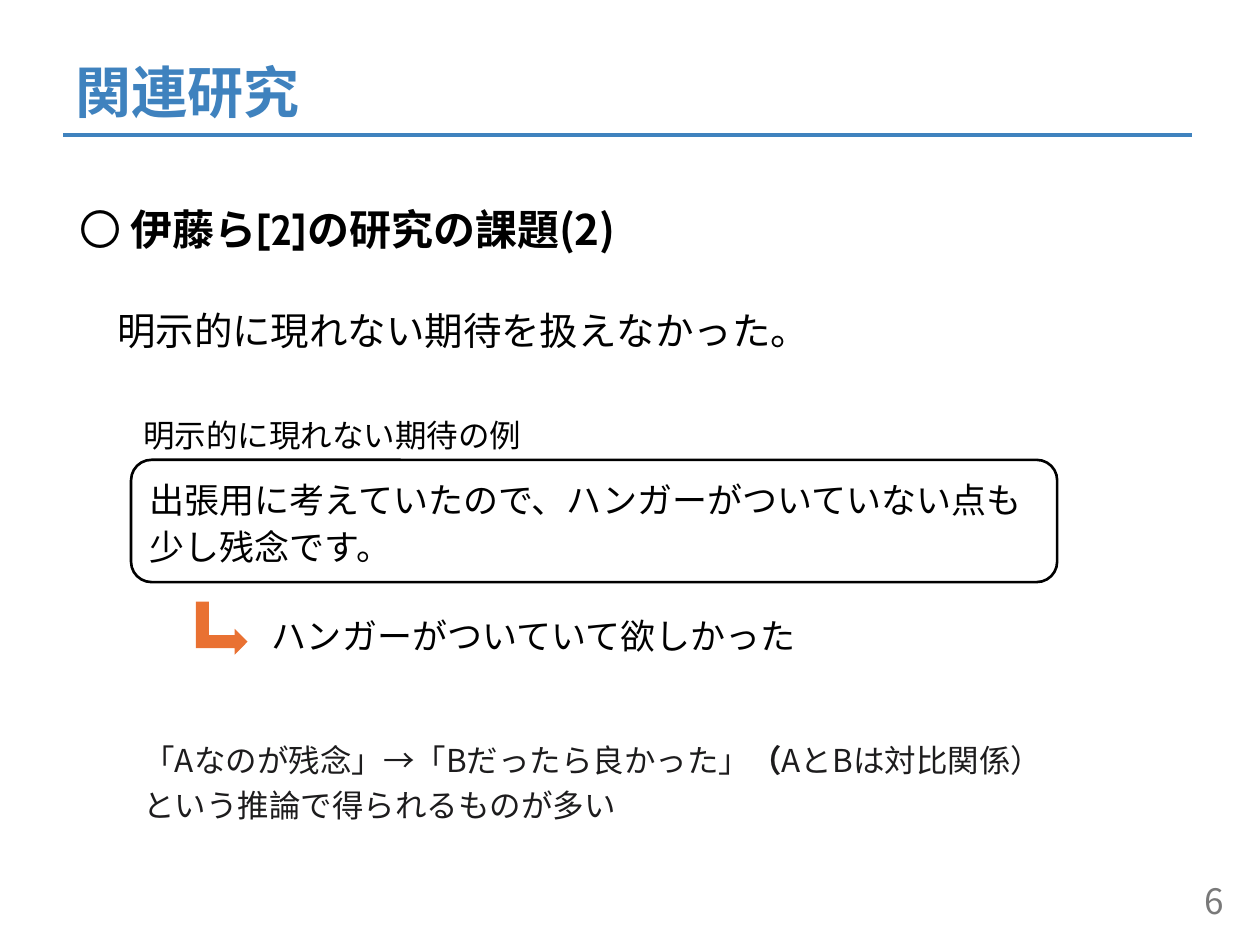
import pptx
import pptx.dml.color
import pptx.enum.shapes
import pptx.enum.text
import pptx.oxml
import pptx.oxml.ns
import pptx.util
from pptx.util import Inches

RGBColor = pptx.dml.color.RGBColor
BLUE = RGBColor(0x3F, 0x82, 0xBE)
BLACK = RGBColor(0, 0, 0)
GRAY = RGBColor(0x79, 0x79, 0x79)
CHARCOAL = RGBColor(0x1D, 0x1C, 0x1D)
ORANGE = RGBColor(0xE9, 0x71, 0x32)
LATIN = "Cabin"
JAPANESE = "Noto Sans CJK JP"
SHAPES = pptx.enum.shapes.MSO_SHAPE
ANCHOR = pptx.enum.text.MSO_ANCHOR
ALIGN = pptx.enum.text.PP_ALIGN


def apply(target, values):
    """Set every attribute named in a dict of format values."""
    for name, value in values.items():
        setattr(target, name, value)


def add_element(parent, tag):
    """Append an empty DrawingML element and return it."""
    element = pptx.oxml.parse_xml(f"<{tag} {pptx.oxml.ns.nsdecls('a')}/>")
    parent.append(element)
    return element


def place(shape, box):
    """Move a shape to a box of left, top, width and height in inches."""
    apply(shape, dict(zip(("left", "top", "width", "height"), map(Inches, box))))


def write(frame, lines, size, color=BLACK, anchor=ANCHOR.TOP, spacing=1.0, align=ALIGN.LEFT):
    """Write lines of (text, font, bold) runs as one paragraph."""
    apply(frame, {"word_wrap": True, "vertical_anchor": anchor})
    paragraph = frame.paragraphs[0]
    apply(paragraph, {"alignment": align, "line_spacing": spacing, "space_before": pptx.util.Pt(0)})
    for index, line in enumerate(lines):
        if index:
            paragraph.add_line_break()
        for text, font, bold in line:
            run = paragraph.add_run()
            run.text = text
            apply(run.font, {"name": font, "size": pptx.util.Pt(size), "bold": bold})
            run.font.color.rgb = color
            add_element(run.font._element, "a:ea").set("typeface", JAPANESE)


def add_label(slide, box, lines, size, **style):
    """Add a text box holding one paragraph."""
    label = slide.shapes.add_textbox(*map(Inches, box))
    write(label.text_frame, lines, size, **style)


def add_heading(slide, box):
    """Fill the title placeholder and draw the rule beneath it."""
    left, top, _, _ = box
    place(slide.shapes.title, box)
    write(slide.shapes.title.text_frame, [[("関連研究", JAPANESE, True)]], 32,
          color=BLUE, anchor=ANCHOR.MIDDLE, spacing=0.9)
    rule_y = Inches(top + 0.79)
    rule = slide.shapes.add_connector(pptx.enum.shapes.MSO_CONNECTOR.STRAIGHT,
                                      Inches(left), rule_y, Inches(left + 8.96), rule_y)
    rule.line.color.rgb = BLUE
    rule.line.width = pptx.util.Pt(2.25)
    add_element(rule._element.spPr, "a:effectLst")


def add_issue(slide, box):
    """State the open issue in the body placeholder below its subheading."""
    left, top, _, _ = box
    add_label(slide, (left - 0.3, top - 0.86, 5.36, 0.5),
              [[("〇 ", LATIN, False), ("伊藤ら", JAPANESE, True),
                ("[2]", LATIN, True), ("の研究の課題(2)", JAPANESE, True)]], 24)
    body = slide.placeholders[1]
    place(body, box)
    properties = body.text_frame.paragraphs[0]._p.get_or_add_pPr()
    apply_indent = {"marL": "0", "indent": "0"}
    for name, value in apply_indent.items():
        properties.set(name, value)
    add_element(properties, "a:buNone")
    write(body.text_frame, [[("明示的に現れない期待を扱えなかった。", LATIN, False)]], 22, spacing=0.9)


def add_example(slide, box):
    """Draw the quoted review, its caption and the expectation drawn from it."""
    left, top, _, height = box
    add_label(slide, (left, top - 0.4, 5.57, 0.4),
              [[("明示的に現れない期待の", LATIN, False), ("例", JAPANESE, False)]], 18)
    review = slide.shapes.add_shape(SHAPES.ROUNDED_RECTANGLE, *map(Inches, box))
    review.shadow.inherit = False
    review.fill.background()
    review.line.color.rgb = BLACK
    review.line.width = pptx.util.Pt(1.5)
    write(review.text_frame,
          [[("出張用に考えていたので、ハンガーがついていない点も少し残念です。", LATIN, False)]],
          20, anchor=ANCHOR.MIDDLE, spacing=1.1)
    bottom = top + height
    arrow = slide.shapes.add_shape(SHAPES.BENT_UP_ARROW, Inches(left + 0.51),
                                   Inches(bottom + 0.16), Inches(0.42), Inches(0.41))
    arrow.rotation = 90
    arrow.shadow.inherit = False
    arrow.fill.solid()
    arrow.fill.fore_color.rgb = ORANGE
    arrow.line.fill.background()
    add_label(slide, (left + 1.02, bottom + 0.21, 4.85, 0.44),
              [[("ハンガーがついていて欲しかった", LATIN, False)]], 20)


def add_inference(slide, box):
    """Explain the inference that yields such expectations."""
    add_label(slide, box,
              [[("「Aなのが残念」→「Bだったら良かった」", JAPANESE, False),
                ("（", JAPANESE, True), ("AとBは対比関係）", JAPANESE, False)],
               [("という推論で得られるものが多い", JAPANESE, False)]],
              18, color=CHARCOAL, spacing=1.2)


def add_page_number(slide, box):
    """Put the page number in the lower right corner."""
    add_label(slide, box, [[("6", JAPANESE, False)]], 20,
              color=GRAY, anchor=ANCHOR.MIDDLE, align=ALIGN.RIGHT)


def main():
    """Build the related work slide and save it."""
    deck = pptx.Presentation()
    apply(deck, {"slide_width": Inches(10), "slide_height": Inches(7.5)})
    slide = deck.slides.add_slide(deck.slide_layouts[1])
    add_heading(slide, (0.5, 0.28, 8.62, 0.96))
    add_issue(slide, (0.83, 2.43, 8.79, 0.57))
    add_example(slide, (1.04, 3.65, 7.35, 0.97))
    add_inference(slide, (1.04, 5.77, 8.02, 0.8))
    add_page_number(slide, (7.56, 6.95, 2.25, 0.4))
    deck.save("out.pptx")


if __name__ == "__main__":
    main()
